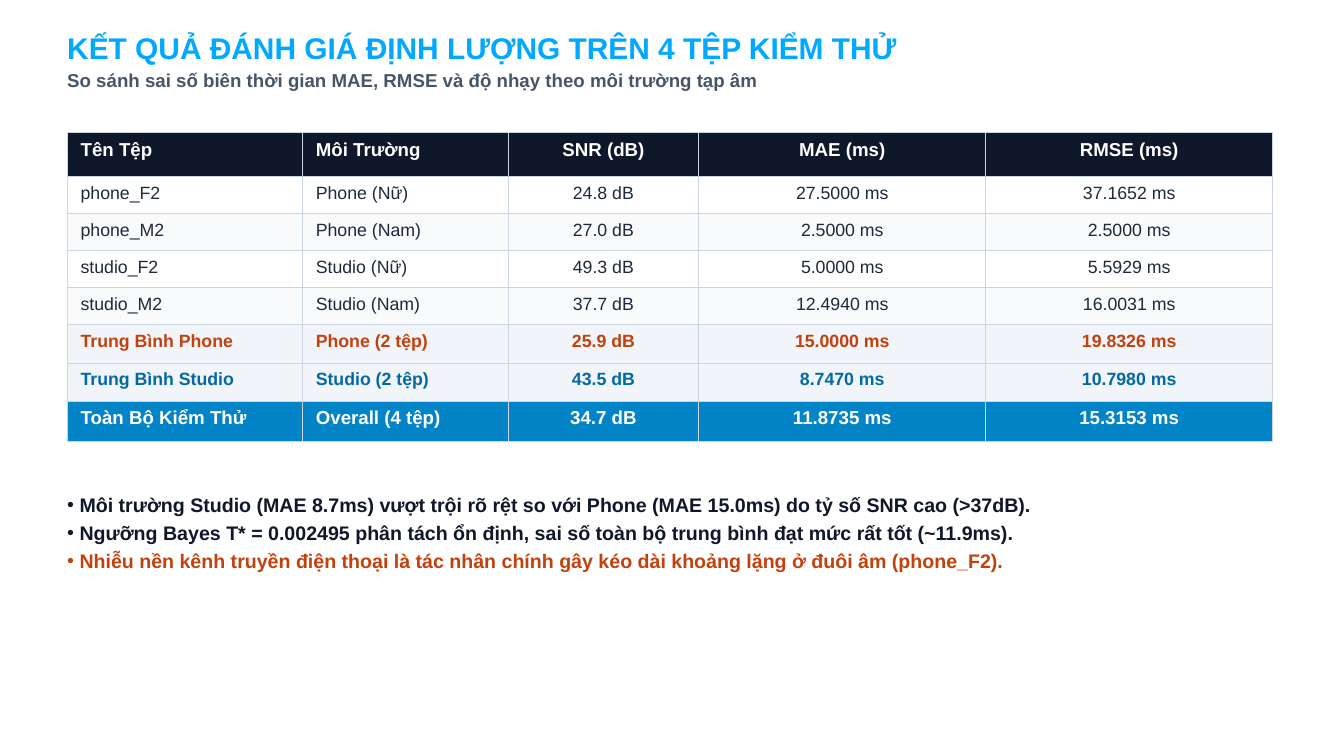
import lxml.etree
import pptx
import pptx.dml.color
import pptx.enum.text
import pptx.oxml.ns
import pptx.util

Pt = pptx.util.Pt
qn = pptx.oxml.ns.qn
ALIGN = pptx.enum.text.PP_ALIGN
LEFT, WIDTH = 72, 1291.7

COLORS = {
    "title": "00A8FF", "subtitle": "475569", "navy": "0F172A", "body": "1E293B",
    "white": "FFFFFF", "stripe": "F8FAFC", "average": "F1F5F9", "total": "0284C7",
    "phone": "C2410C", "studio": "0369A1", "border": "CBD5E1",
}


def add_run(p, text, size, color, bold=True):
    r = p.add_run()
    r.text = text
    r.font.name = "Arial"
    r.font.size = Pt(size)
    r.font.bold = bold
    r.font.color.rgb = pptx.dml.color.RGBColor.from_string(COLORS[color])


def set_frame(sp, top, height):
    sp.left, sp.top, sp.width, sp.height = Pt(LEFT), Pt(top), Pt(WIDTH), Pt(height)
    tf = sp.text_frame
    tf.word_wrap = True
    tf.auto_size = pptx.enum.text.MSO_AUTO_SIZE.NONE
    tf.vertical_anchor = pptx.enum.text.MSO_ANCHOR.TOP
    tf.margin_left = tf.margin_top = tf.margin_right = tf.margin_bottom = 0
    return tf


prs = pptx.Presentation()
prs.slide_width, prs.slide_height = Pt(1440), Pt(810)
s = prs.slides.add_slide(prs.slide_layouts[5])
s.background.fill.solid()
s.background.fill.fore_color.rgb = pptx.dml.color.RGBColor.from_string(COLORS["white"])

tf = set_frame(s.shapes.title, 31.7, 102.2)
p = tf.paragraphs[0]
p.alignment = ALIGN.LEFT
add_run(p, "KẾT QUẢ ĐÁNH GIÁ ĐỊNH LƯỢNG TRÊN 4 TỆP KIỂM THỬ", 32, "title")
p = tf.add_paragraph()
p.alignment = ALIGN.LEFT
p.space_before = Pt(4)
add_run(p, "So sánh sai số biên thời gian MAE, RMSE và độ nhạy theo môi trường tạp âm", 20, "subtitle")

columns = [252, 220.3, 204.5, 307.4, 307.4]
header = (47.3, "navy", "white", 20, True)
plain = (39.6, "white", "body", 19, False)
striped = (39.6, "stripe", "body", 19, False)
rows = [
    (header, ["Tên Tệp", "Môi Trường", "SNR (dB)", "MAE (ms)", "RMSE (ms)"]),
    (plain, ["phone_F2", "Phone (Nữ)", "24.8 dB", "27.5000 ms", "37.1652 ms"]),
    (striped, ["phone_M2", "Phone (Nam)", "27.0 dB", "2.5000 ms", "2.5000 ms"]),
    (plain, ["studio_F2", "Studio (Nữ)", "49.3 dB", "5.0000 ms", "5.5929 ms"]),
    (striped, ["studio_M2", "Studio (Nam)", "37.7 dB", "12.4940 ms", "16.0031 ms"]),
    ((41.2, "average", "phone", 19, True),
     ["Trung Bình Phone", "Phone (2 tệp)", "25.9 dB", "15.0000 ms", "19.8326 ms"]),
    ((41.2, "average", "studio", 19, True),
     ["Trung Bình Studio", "Studio (2 tệp)", "43.5 dB", "8.7470 ms", "10.7980 ms"]),
    ((43.2, "total", "white", 20, True),
     ["Toàn Bộ Kiểm Thử", "Overall (4 tệp)", "34.7 dB", "11.8735 ms", "15.3153 ms"]),
]
height = sum(style[0] for style, texts in rows)
table = s.shapes.add_table(
    len(rows), len(columns), Pt(LEFT), Pt(142), Pt(WIDTH), Pt(height)).table
table.first_row = False
table.horz_banding = False
for i, width in enumerate(columns):
    table.columns[i].width = Pt(width)
for i, (style, texts) in enumerate(rows):
    row_height, fill, color, size, bold = style
    table.rows[i].height = Pt(row_height)
    for j, text in enumerate(texts):
        cell = table.cell(i, j)
        cell.margin_left = cell.margin_right = Pt(14.4)
        cell.margin_top = cell.margin_bottom = Pt(7.2)
        tcPr = cell._tc.get_or_add_tcPr()
        for side in ("a:lnL", "a:lnR", "a:lnT", "a:lnB"):
            ln = lxml.etree.SubElement(tcPr, qn(side), w=str(Pt(1)))
            solid = lxml.etree.SubElement(ln, qn("a:solidFill"))
            lxml.etree.SubElement(solid, qn("a:srgbClr"), val=COLORS["border"])
        cell.fill.solid()
        cell.fill.fore_color.rgb = pptx.dml.color.RGBColor.from_string(COLORS[fill])
        p = cell.text_frame.paragraphs[0]
        p.alignment = ALIGN.LEFT if j < 2 else ALIGN.CENTER
        add_run(p, text, size, color, bold)

notes = [
    ("Môi trường Studio (MAE 8.7ms) vượt trội rõ rệt so với Phone (MAE 15.0ms) do tỷ số SNR cao (>37dB).", "navy"),
    ("Ngưỡng Bayes T* = 0.002495 phân tách ổn định, sai số toàn bộ trung bình đạt mức rất tốt (~11.9ms).", "navy"),
    ("Nhiễu nền kênh truyền điện thoại là tác nhân chính gây kéo dài khoảng lặng ở đuôi âm (phone_F2).", "phone"),
]
tf = set_frame(s.shapes.add_textbox(0, 0, 0, 0), 527.8, 220.3)
for i, (text, color) in enumerate(notes):
    p = tf.add_paragraph() if i else tf.paragraphs[0]
    pPr = p._p.get_or_add_pPr()
    pPr.set("marL", str(Pt(13.2)))
    pPr.set("indent", str(-Pt(13.2)))
    lxml.etree.SubElement(pPr, qn("a:buFont"), typeface="Arial")
    lxml.etree.SubElement(pPr, qn("a:buChar"), char="•")
    if i:
        p.space_before = Pt(5)
    add_run(p, text, 21, color)

prs.save("out.pptx")
